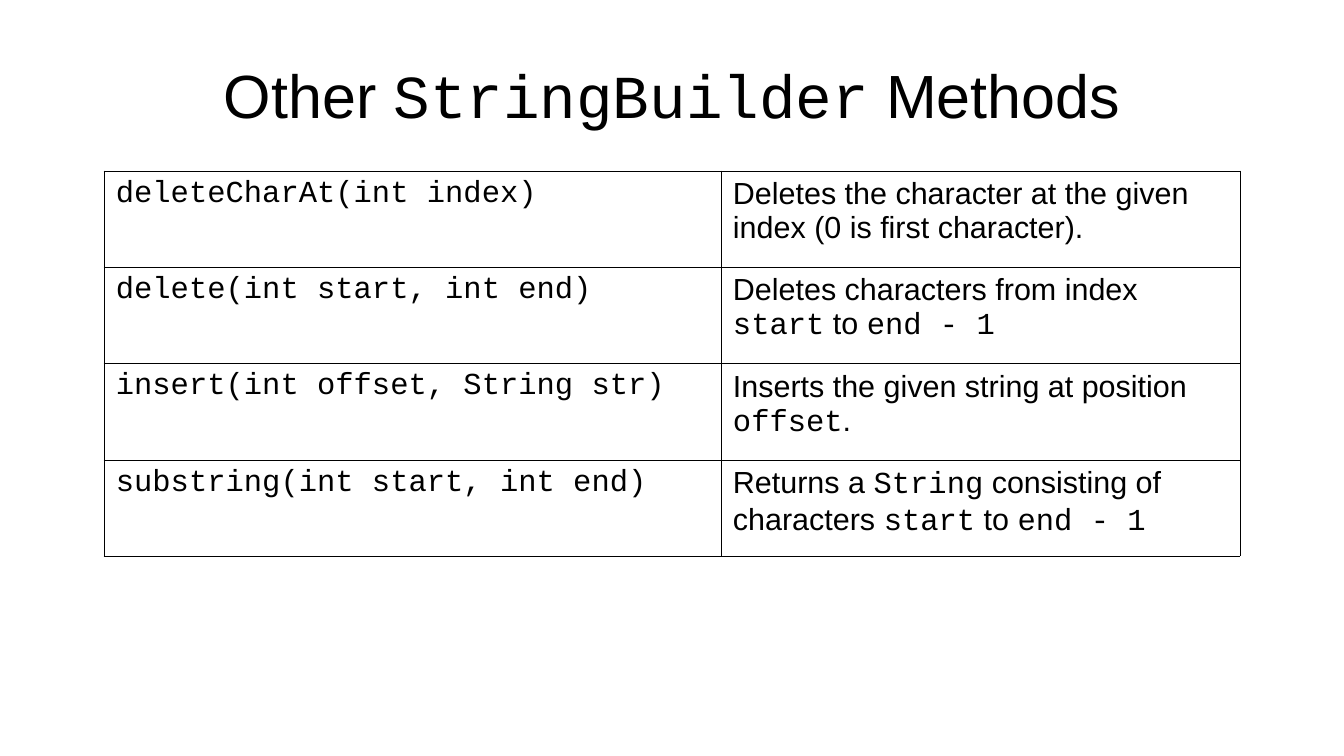
from dataclasses import dataclass

from lxml.etree import SubElement
from pptx import Presentation
from pptx.dml.color import RGBColor
from pptx.enum.text import MSO_ANCHOR as Anchor, PP_ALIGN as Align
from pptx.oxml.ns import qn
from pptx.slide import Slide
from pptx.table import _Cell as Cell
from pptx.text.text import _Paragraph as Paragraph
from pptx.util import Inches, Pt

BLACK = RGBColor(0x00, 0x00, 0x00)
WHITE = RGBColor(0xFF, 0xFF, 0xFF)
BORDER_WIDTH = Pt(0.06)
COLUMN_WIDTHS = (5.06, 4.26)
ROW_HEIGHT = 0.79


@dataclass(frozen=True)
class Prose:
    text: str
    font: str = "Arial"


@dataclass(frozen=True)
class Code(Prose):
    font: str = "Courier New"


@dataclass(frozen=True)
class Method:
    signature: Code
    description: tuple[Prose, ...]


TITLE = (Prose("Other "), Code("StringBuilder"), Prose(" Methods"))
METHODS = (
    Method(
        Code("deleteCharAt(int index)"),
        (Prose("Deletes the character at the given index (0 is first character)."),),
    ),
    Method(
        Code("delete(int start, int end)"),
        (Prose("Deletes characters from index "), Code("start"), Prose(" to "), Code("end - 1")),
    ),
    Method(
        Code("insert(int offset, String str)"),
        (Prose("Inserts the given string at position "), Code("offset"), Prose(".")),
    ),
    Method(
        Code("substring(int start, int end)"),
        (
            Prose("Returns a "),
            Code("String"),
            Prose(" consisting of characters "),
            Code("start"),
            Prose(" to "),
            Code("end - 1"),
        ),
    ),
)


def add_runs(p: Paragraph, pieces: tuple[Prose, ...], size: int) -> None:
    for piece in pieces:
        r = p.add_run()
        r.text = piece.text
        r.font.name = piece.font
        r.font.size = Pt(size)
        r.font.color.rgb = BLACK


def add_borders(cell: Cell) -> None:
    tc_pr = cell._tc.get_or_add_tcPr()
    for i, side in enumerate(("a:lnL", "a:lnR", "a:lnT", "a:lnB")):
        ln = SubElement(tc_pr, qn(side), w=str(int(BORDER_WIDTH)))
        fill = SubElement(ln, qn("a:solidFill"))
        SubElement(fill, qn("a:srgbClr"), val=str(BLACK))
        tc_pr.insert(i, ln)


def fill_cell(cell: Cell, pieces: tuple[Prose, ...]) -> None:
    cell.fill.solid()
    cell.fill.fore_color.rgb = WHITE
    cell.margin_left = cell.margin_right = Inches(0.1)
    cell.margin_top = cell.margin_bottom = Inches(0.05)
    add_runs(cell.text_frame.paragraphs[0], pieces, 18)
    add_borders(cell)


def add_title(s: Slide) -> None:
    sp = s.shapes.add_textbox(Inches(0.55), Inches(0.25), Inches(9.92), Inches(1.04))
    tf = sp.text_frame
    tf.word_wrap = True
    tf.vertical_anchor = Anchor.MIDDLE
    tf.margin_left = tf.margin_right = tf.margin_top = tf.margin_bottom = 0
    p = tf.paragraphs[0]
    p.alignment = Align.CENTER
    add_runs(p, TITLE, 36)


def add_method_table(s: Slide) -> None:
    rows = len(METHODS)
    table = s.shapes.add_table(
        rows, len(COLUMN_WIDTHS), Inches(0.85), Inches(1.4),
        Inches(sum(COLUMN_WIDTHS)), Inches(rows * ROW_HEIGHT),
    ).table
    table.first_row = table.horz_banding = False
    for column, width in zip(table.columns, COLUMN_WIDTHS):
        column.width = Inches(width)
    for row, method in zip(table.rows, METHODS):
        row.height = Inches(ROW_HEIGHT)
        fill_cell(row.cells[0], (method.signature,))
        fill_cell(row.cells[1], method.description)


def main() -> None:
    prs = Presentation()
    prs.slide_width = Inches(11.02)
    prs.slide_height = Inches(6.2)
    s = prs.slides.add_slide(prs.slide_layouts[6])
    add_title(s)
    add_method_table(s)
    prs.save("out.pptx")


if __name__ == "__main__":
    main()
